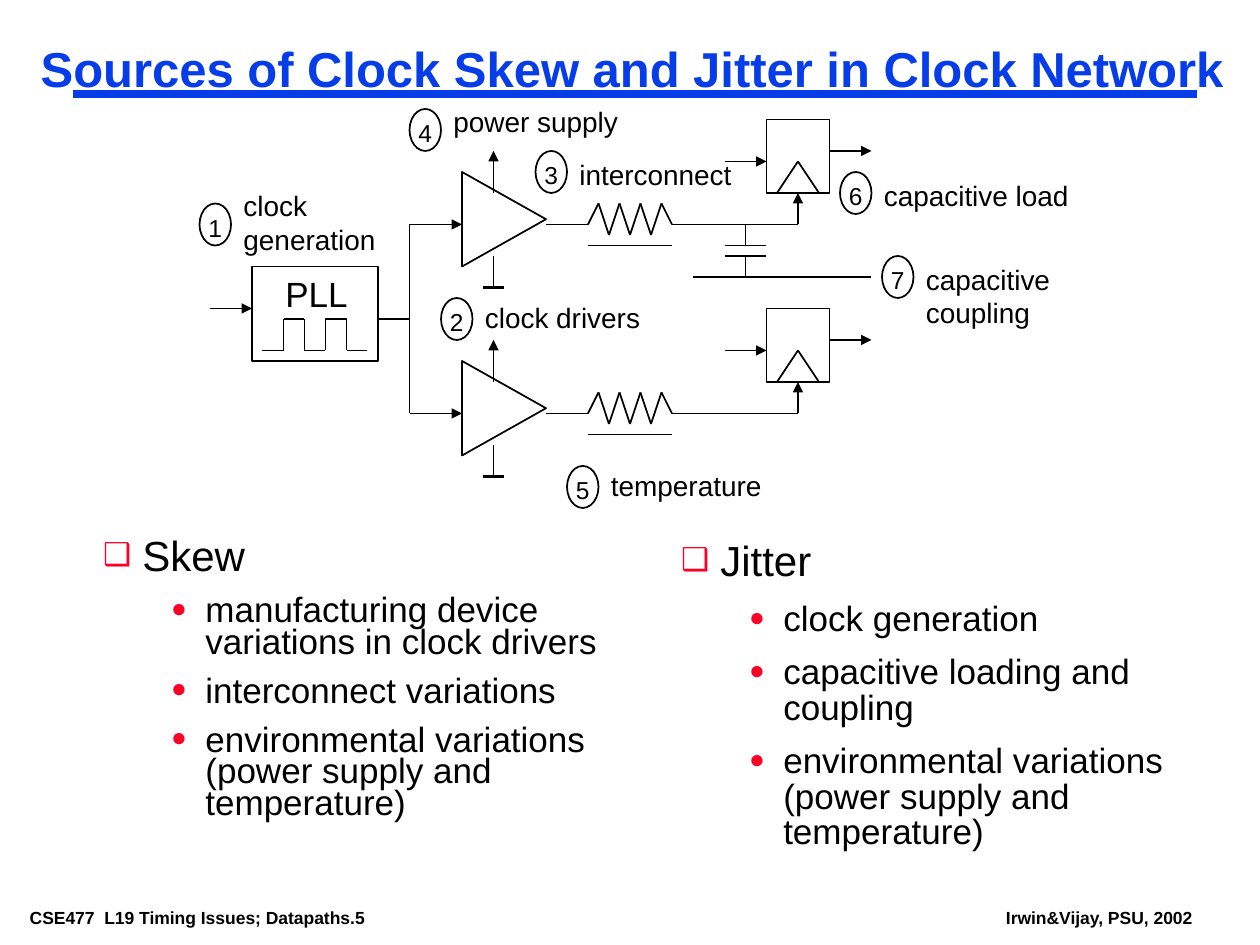
from itertools import pairwise

from lxml import etree
from pptx import Presentation
from pptx.dml.color import RGBColor
from pptx.enum.shapes import MSO_CONNECTOR, MSO_SHAPE
from pptx.enum.text import MSO_ANCHOR, MSO_AUTO_SIZE, PP_ALIGN
from pptx.oxml.ns import qn
from pptx.util import Cm, Pt

STRAIGHT = MSO_CONNECTOR.STRAIGHT
RECTANGLE, TRIANGLE, OVAL = MSO_SHAPE.RECTANGLE, MSO_SHAPE.ISOSCELES_TRIANGLE, MSO_SHAPE.OVAL
TOP, MIDDLE = MSO_ANCHOR.TOP, MSO_ANCHOR.MIDDLE
LEFT, CENTER = PP_ALIGN.LEFT, PP_ALIGN.CENTER
NO_AUTOFIT = MSO_AUTO_SIZE.NONE

COLORS = {"ink": "000000", "title": "063DE8", "bullet": "FC0128"}
FONT = "Arial"
BOTTOM_SITE = 2
TIGHT, ROOMY = (0.18, 0.08), (0.25, 0.13)

# The diagram sits on a grid of twelve steps to the inch
STEP = 2.54 / 12
GRID_TOP = 0.08
BRANCH_ROWS = (21, 39)

# Number, badge column and row, label, label column, row, width and height
CALLOUTS = [
    (1, 19, 19, "clock generation", 22, 17, 16, 7.7),
    (2, 42, 28, "clock drivers", 45, 27.6, 20, 4.4),
    (3, 51, 14, "interconnect", 54, 14, 20, 4.4),
    (4, 39, 10, "power supply", 42, 9, 20, 4.4),
    (5, 54, 44, "temperature", 57, 43.6, 20, 4.4),
    (6, 80, 16, "capacitive load", 83, 16, 24, 4.4),
    (7, 84, 24, "capacitive coupling", 87, 24, 20, 7.7),
]

SKEW = ["Skew", "manufacturing device variations in clock drivers",
        "interconnect variations",
        "environmental variations (power supply and temperature)"]
JITTER = ["Jitter", "clock generation", "capacitive loading and coupling",
          "environmental variations (power supply and temperature)"]


def color(name):
    return RGBColor.from_string(COLORS[name])


def grid_x(column):
    return Cm(column * STEP)


def grid_y(row):
    return Cm(GRID_TOP + row * STEP)


def grid_box(column, row, width, height):
    return grid_x(column), grid_y(row), Cm(width * STEP), Cm(height * STEP)


def place(shape, left, top, width, height):
    shape.left, shape.top, shape.width, shape.height = left, top, width, height


def prepare_frame(frame, insets, wrap=True, anchor=TOP):
    frame.auto_size = NO_AUTOFIT
    frame.word_wrap = wrap
    frame.vertical_anchor = anchor
    frame.margin_left = frame.margin_right = Cm(insets[0])
    frame.margin_top = frame.margin_bottom = Cm(insets[1])


def write(paragraph, text, size=16, bold=False, tint="ink", align=LEFT, spacing=None):
    paragraph.alignment = align
    if spacing:
        paragraph.line_spacing = spacing
    run = paragraph.add_run()
    run.text = text
    run.font.name, run.font.size, run.font.bold = FONT, Pt(size), bold
    run.font.color.rgb = color(tint)


def add_label(slide, text, box, insets=ROOMY, wrap=True, **text_format):
    shape = slide.shapes.add_textbox(*box)
    prepare_frame(shape.text_frame, insets, wrap)
    write(shape.text_frame.paragraphs[0], text, **text_format)


def add_outline(slide, kind, box):
    shape = slide.shapes.add_shape(kind, *box)
    shape.shadow.inherit = False
    shape.fill.background()
    shape.line.color.rgb = color("ink")
    shape.line.width = Pt(1)
    return shape


def add_line(slide, start, end, arrow=False, width=1, tint="ink"):
    line = slide.shapes.add_connector(
        STRAIGHT, grid_x(start[0]), grid_y(start[1]), grid_x(end[0]), grid_y(end[1]))
    line.line.color.rgb = color(tint)
    line.line.width = Pt(width)
    properties = line._element.spPr
    if arrow:
        etree.SubElement(properties.find(qn("a:ln")), qn("a:tailEnd"), type="triangle")
    etree.SubElement(properties, qn("a:effectLst"))
    return line


def add_path(slide, points):
    for start, end in pairwise(points):
        add_line(slide, start, end)


def add_bullet(paragraph, character, margin, hanging):
    properties = paragraph._p.get_or_add_pPr()
    properties.set("marL", str(Cm(margin)))
    properties.set("indent", str(-Cm(hanging)))
    bullet_color = etree.SubElement(properties, qn("a:buClr"))
    etree.SubElement(bullet_color, qn("a:srgbClr"), val=COLORS["bullet"])
    etree.SubElement(properties, qn("a:buSzPct"), val="75000")
    etree.SubElement(properties, qn("a:buChar"), char=character)


def fill_list(placeholder, left, lines, head_spacing, item_spacing):
    place(placeholder, Cm(left), Cm(10.8), Cm(10.37), Cm(6.43))
    frame = placeholder.text_frame
    prepare_frame(frame, TIGHT)
    heading, *items = lines
    paragraph = frame.paragraphs[0]
    add_bullet(paragraph, "❑", 0.79, 0.79)
    paragraph.space_before = Pt(0)
    write(paragraph, heading, size=24, spacing=head_spacing)
    for item in items:
        paragraph = frame.add_paragraph()
        paragraph.level = 1
        add_bullet(paragraph, "●", 2.06, 0.69)
        paragraph.space_before = Pt(10)
        write(paragraph, item, size=20, spacing=item_spacing)


def add_pll(slide):
    add_outline(slide, RECTANGLE, grid_box(24, 25, 12, 9))
    add_label(slide, "PLL", grid_box(26, 25, 8.3, 5.3), wrap=False, size=20)
    add_line(slide, (20, 29), (24, 29), arrow=True)
    add_path(slide, [(25, 33), (27, 33), (27, 30), (29, 30), (29, 33),
                     (31, 33), (31, 30), (33, 30), (33, 33), (35, 33)])
    add_line(slide, (36, 30), (39, 30))
    add_line(slide, (39, BRANCH_ROWS[0]), (39, BRANCH_ROWS[1]))


def add_branch(slide, row):
    # Clock driver with its supply and ground
    add_line(slide, (39, row), (44, row), arrow=True)
    driver = add_outline(slide, TRIANGLE, grid_box(43.5, row - 4.5, 9, 8))
    driver.rotation = 90
    add_line(slide, (47, row - 3), (47, row - 7), arrow=True)
    add_line(slide, (47, row + 3), (47, row + 6))
    add_line(slide, (46, row + 6), (48, row + 6), width=2.25)

    # Wire resistance
    peaks = [(column, row - 2 if column % 2 else row + 1) for column in range(57, 64)]
    add_path(slide, [(52, row), (56, row), *peaks, (64, row), (68, row), (76, row)])
    add_line(slide, (56, row + 2), (64, row + 2))

    # Register
    register = add_outline(slide, RECTANGLE, grid_box(73, row - 10, 6, 7))
    add_path(slide, [(74, row - 3), (76, row - 6), (78, row - 3)])
    add_line(slide, (69, row - 6), (73, row - 6), arrow=True)
    add_line(slide, (79, row - 7), (83, row - 7), arrow=True)
    clock = add_line(slide, (76, row), (76, row - 3), arrow=True)
    clock.end_connect(register, BOTTOM_SITE)


def add_coupling(slide):
    for start, end in [((71, 21), (71, 23)), ((69, 23), (73, 23)), ((69, 24), (73, 24)),
                       ((71, 24), (71, 26)), ((66, 26), (83, 26))]:
        add_line(slide, start, end)


def add_callout(slide, number, column, row, text, *label_box):
    badge = add_outline(slide, OVAL, grid_box(column, row, 3, 4))
    prepare_frame(badge.text_frame, (0, 0), wrap=False, anchor=MIDDLE)
    badge.text_frame.margin_top = Cm(0.12)
    write(badge.text_frame.paragraphs[0], str(number), size=14, align=CENTER)
    add_label(slide, text, grid_box(*label_box))


def main():
    presentation = Presentation()
    presentation.slide_width, presentation.slide_height = Cm(25.4), Cm(19.05)
    slide = presentation.slides.add_slide(presentation.slide_layouts[3])
    title, skew, jitter = slide.placeholders

    # Title, rule and footer
    add_line(slide, (7, 8.6), (114, 8.6), width=4.5, tint="title")
    place(title, Cm(0.64), Cm(0.85), Cm(24.34), Cm(1.16))
    prepare_frame(title.text_frame, TIGHT, wrap=False)
    write(title.text_frame.paragraphs[0], "Sources of Clock Skew and Jitter in Clock Network",
          size=28, bold=True, tint="title", spacing=0.87)
    for text, left, width in [("CSE477  L19 Timing Issues; Datapaths.5", 0.42, 8.6),
                              ("Irwin&Vijay, PSU, 2002", 20.1, 4.14)]:
        add_label(slide, text, (Cm(left), Cm(18.2), Cm(width), Cm(0.57)),
                  insets=TIGHT, wrap=False, size=10, bold=True)

    # Clock network
    add_pll(slide)
    for row in BRANCH_ROWS:
        add_branch(slide, row)
    add_coupling(slide)
    for callout in CALLOUTS:
        add_callout(slide, *callout)

    # Lists of causes
    fill_list(skew, 1.9, SKEW, 0.8, 0.75)
    fill_list(jitter, 13.55, JITTER, 0.9, 0.85)

    presentation.save("out.pptx")


if __name__ == "__main__":
    main()
